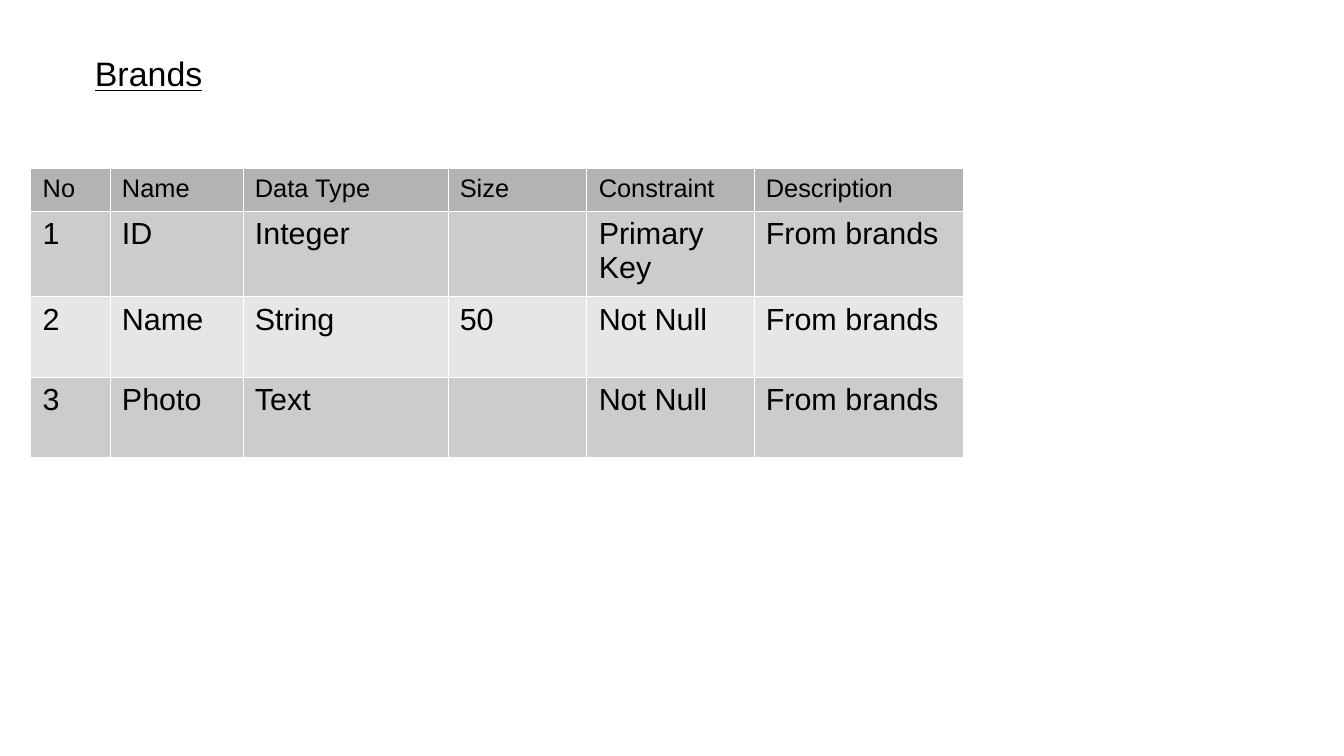
from lxml import etree
from pptx import Presentation
from pptx.dml.color import RGBColor
from pptx.enum.text import MSO_ANCHOR, PP_ALIGN
from pptx.oxml.ns import qn
from pptx.util import Inches, Pt

MIDDLE = MSO_ANCHOR.MIDDLE
CENTER = PP_ALIGN.CENTER

COLUMN_WIDTHS = [5.9, 9.89, 15.25, 10.34, 12.43, 15.61]
ROW_HEIGHTS = [5.65, 11.29, 10.65, 10.65]
BRAND_FIELDS = [
    ["No", "Name", "Data Type", "Size", "Constraint", "Description"],
    ["1", "ID", "Integer", "", "Primary Key", "From brands"],
    ["2", "Name", "String", "50", "Not Null", "From brands"],
    ["3", "Photo", "Text", "", "Not Null", "From brands"],
]


def color(value):
    return RGBColor.from_string(value)


class SlideBuilder:
    font = "Arial"
    ink = "000000"
    border = "FFFFFF"
    border_width = 0.06
    header_fill = "B3B3B3"
    band_fills = ["CCCCCC", "E6E6E6"]

    def __init__(self, prs):
        self.width = prs.slide_width
        self.height = prs.slide_height
        self.s = prs.slides.add_slide(prs.slide_layouts[6])

    def x(self, percent):
        return round(self.width * percent / 100)

    def y(self, percent):
        return round(self.height * percent / 100)

    def style(self, p, size, underline=None):
        p.font.name = self.font
        p.font.size = Pt(size)
        p.font.color.rgb = color(self.ink)
        p.font.underline = underline

    def title(self, text, left, top, width, height):
        sp = self.s.shapes.add_textbox(
            self.x(left), self.y(top), self.x(width), self.y(height))
        tf = sp.text_frame
        tf.word_wrap = True
        tf.vertical_anchor = MIDDLE
        tf.margin_left = tf.margin_right = 0
        tf.margin_top = tf.margin_bottom = 0
        p = tf.paragraphs[0]
        p.text = text
        p.alignment = CENTER
        self.style(p, 20, underline=True)

    def cell_borders(self, cell):
        tc_pr = cell._tc.get_or_add_tcPr()
        for side in ("a:lnL", "a:lnR", "a:lnT", "a:lnB"):
            ln = etree.SubElement(tc_pr, qn(side), w=str(Pt(self.border_width)))
            fill = etree.SubElement(ln, qn("a:solidFill"))
            etree.SubElement(fill, qn("a:srgbClr"), val=self.border)

    def table(self, rows, left, top, widths, heights):
        table = self.s.shapes.add_table(
            len(rows), len(widths), self.x(left), self.y(top),
            self.x(sum(widths)), self.y(sum(heights))).table
        for column, width in zip(table.columns, widths):
            column.width = self.x(width)
        for i, (values, height) in enumerate(zip(rows, heights)):
            table.rows[i].height = self.y(height)
            fill = self.band_fills[(i - 1) % 2] if i else self.header_fill
            for j, value in enumerate(values):
                cell = table.cell(i, j)
                self.cell_borders(cell)
                cell.fill.solid()
                cell.fill.fore_color.rgb = color(fill)
                p = cell.text_frame.paragraphs[0]
                p.text = value
                p.font.bold = False
                self.style(p, 18 if i else 15)


def main():
    prs = Presentation()
    prs.slide_width = Inches(11.02)
    prs.slide_height = Inches(6.2)
    slide = SlideBuilder(prs)
    slide.title("Brands", 4.26, 4.03, 13.61, 11.29)
    slide.table(BRAND_FIELDS, 2.27, 22.26, COLUMN_WIDTHS, ROW_HEIGHTS)
    prs.save("out.pptx")


if __name__ == "__main__":
    main()
